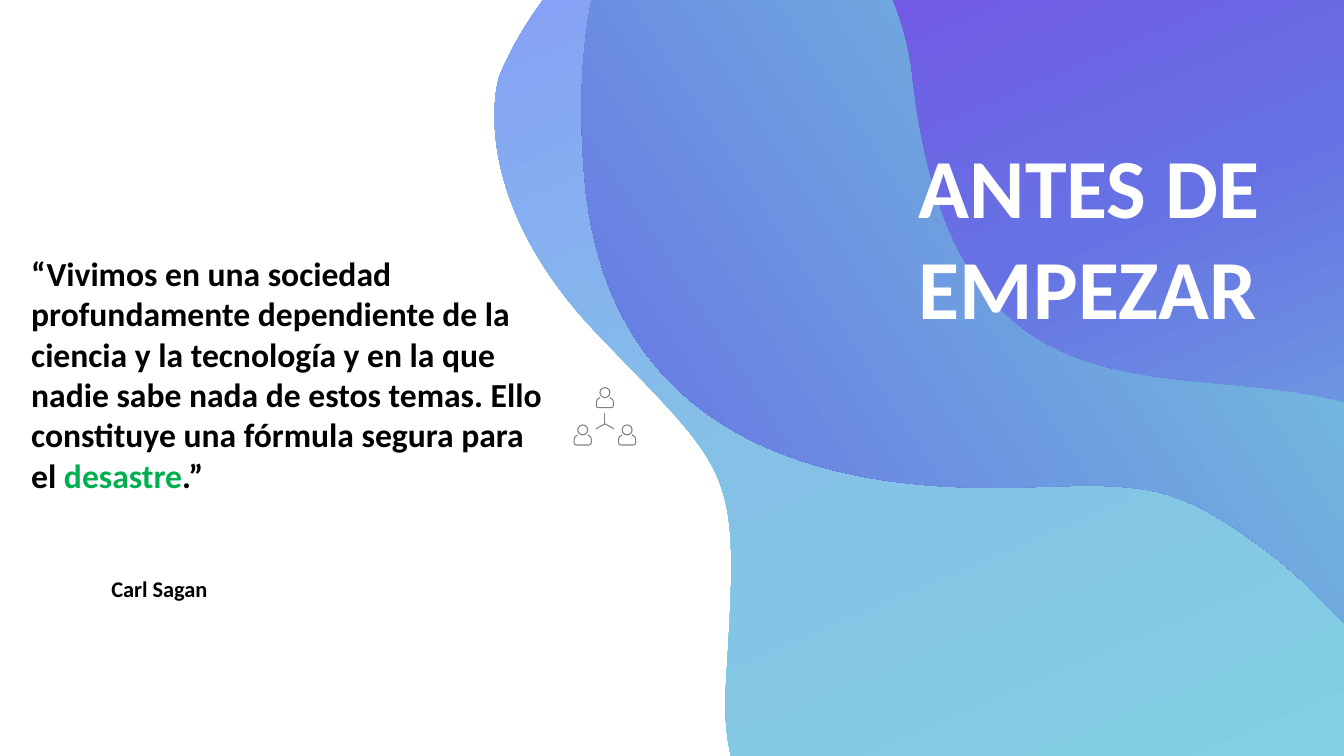
import math
from dataclasses import dataclass

import lxml.etree
import pptx
import pptx.dml.color
import pptx.enum.shapes
import pptx.enum.text
import pptx.oxml
import pptx.oxml.ns
import pptx.util

COLUMNS, ROWS = 1333, 750  # grid of hundredths of an inch
CELL = pptx.util.Inches(0.01)


@dataclass(frozen=True)
class Theme:
    font: str = "Calibri"
    ink: str = "000000"
    accent: str = "00B050"
    title_ink: str = "FFFFFF"
    icon: str = "808080"
    icon_line: float = 0.75
    title_size: int = 60
    quote_size: int = 24
    author_size: int = 16
    back_wave: tuple = ((0, "80DEDE"), (54, "85C1E7"), (100, "878CFF"))
    corner_wave: tuple = ((0, "7CEFD8"), (51, "6672E4"), (100, "882BE5"))
    overlap_wave: tuple = ((0, "882BE5"), (19, "6672E4"), (100, "7CEFD8"))


def rgb(value):
    return pptx.dml.color.RGBColor.from_string(value)


def emu(*cells):
    return [int(cell * CELL) for cell in cells]


def turn(point, degrees):
    x, y = point
    c, s = math.cos(math.radians(degrees)), math.sin(math.radians(degrees))
    return x * c - y * s, x * s + y * c


def bounds(nodes, steps=30):
    """Left, top, right and bottom of cubic curves: a start, then three nodes each."""
    points = [nodes[0]]
    for i in range(0, len(nodes) - 1, 3):
        a, b, c, d = nodes[i:i + 4]
        for t in (k / steps for k in range(1, steps + 1)):
            u = 1 - t
            points.append(tuple(
                u**3 * a[j] + 3 * u * u * t * b[j] + 3 * u * t * t * c[j] + t**3 * d[j]
                for j in (0, 1)))
    xs, ys = zip(*points)
    return min(xs), min(ys), max(xs), max(ys)


class Slide:
    def __init__(self, deck, theme):
        self.theme = theme
        self.slide = deck.slides.add_slide(deck.slide_layouts[6])

    def group(self):
        return self.slide.shapes.add_group_shape().shapes

    def curve(self, group, nodes, close):
        """Freeform whose straight segments are joined by threes into cubic curves."""
        builder = group.build_freeform(*emu(*nodes[0]))
        builder.add_line_segments([emu(*node) for node in nodes[1:]], close=close)
        shape = builder.convert_to_shape()
        shape.shadow.inherit = False
        qn = pptx.oxml.ns.qn
        route = next(shape.element.iter(qn("a:path")))
        segments = route.findall(qn("a:lnTo"))
        for i in range(0, len(segments), 3):
            cubic = lxml.etree.Element(qn("a:cubicBezTo"))
            segments[i].addprevious(cubic)
            for segment in segments[i:i + 3]:
                cubic.append(segment[0])
                route.remove(segment)
        # Fit the frame to the curves instead of their control nodes
        left, top, right, bottom = emu(*bounds(nodes))
        for point in route.iter(qn("a:pt")):
            point.set("x", str(int(point.get("x")) + shape.left - left))
            point.set("y", str(int(point.get("y")) + shape.top - top))
        shape.left, shape.top = left, top
        shape.width, shape.height = right - left, bottom - top
        route.set("w", str(right - left))
        route.set("h", str(bottom - top))
        return shape

    def wave(self, group, nodes, stops, angle, rotation=157):
        """Store the outline unturned, so that its gradient turns with it."""
        level = [turn(node, -rotation) for node in nodes]
        left, top, right, bottom = bounds(level)
        center = (left + right) / 2, (top + bottom) / 2
        dx, dy = (after - before for after, before in zip(turn(center, rotation), center))
        shape = self.curve(group, [(x + dx, y + dy) for x, y in level], True)
        shape.rotation = rotation
        shape.line.fill.background()
        self.gradient(shape, stops, angle)

    def gradient(self, shape, stops, angle):
        listed = "".join(
            f'<a:gs pos="{share * 1000}"><a:srgbClr val="{color}"/></a:gs>'
            for share, color in stops)
        fill = pptx.oxml.parse_xml(
            f'<a:gradFill {pptx.oxml.ns.nsdecls("a")} rotWithShape="1">'
            f'<a:gsLst>{listed}</a:gsLst>'
            f'<a:lin ang="{angle * 60000}" scaled="0"/></a:gradFill>')
        shape.element.spPr.find(pptx.oxml.ns.qn("a:custGeom")).addnext(fill)

    def pen(self, shape):
        shape.line.color.rgb = rgb(self.theme.icon)
        shape.line.width = pptx.util.Pt(self.theme.icon_line)

    def person(self, group, col, row):
        head = group.add_shape(
            pptx.enum.shapes.MSO_SHAPE.DONUT, *emu(col - 5.5, row, 11, 11))
        head.adjustments[0] = 0.1
        head.shadow.inherit = False
        head.fill.solid()
        head.fill.fore_color.rgb = rgb(self.theme.icon)
        head.line.fill.background()
        body = SHOULDER + [(-x, y) for x, y in reversed(SHOULDER)]
        shape = self.curve(group, [(col + x, row + y) for x, y in body], False)
        shape.fill.background()
        self.pen(shape)

    def line(self, group, start, end):
        link = group.add_connector(
            pptx.enum.shapes.MSO_CONNECTOR.STRAIGHT, *emu(*start, *end))
        self.pen(link)
        lxml.etree.SubElement(link.element.spPr, pptx.oxml.ns.qn("a:effectLst"))

    def text(self, box, runs, size, inset=True):
        frame = self.slide.shapes.add_textbox(*emu(*box)).text_frame
        frame.word_wrap = True
        frame.auto_size = pptx.enum.text.MSO_AUTO_SIZE.SHAPE_TO_FIT_TEXT
        if not inset:
            frame.margin_left = frame.margin_right = 0
            frame.margin_top = frame.margin_bottom = 0
        for words, color in runs:
            run = frame.paragraphs[0].add_run()
            run.text = words
            run.font.name = self.theme.font
            run.font.size = pptx.util.Pt(size)
            run.font.bold = True
            run.font.color.rgb = rgb(color)


BACK = [
    (920, 106), (971, 556), (1290, 315), (1467, 496), (1645, 676), (1581, 811), (1528, 840),
    (1475, 869), (1429, 866), (1375, 787), (1320, 707), (1153, 796), (1038, 856),
    (924, 916), (706, 893), (720, 679), (733, 464), (732, 476), (595, 334),
    (458, 192), (495, 76), (495, 76), (495, 76), (568, -115), (737, -98),
    (907, -81), (920, 106), (920, 106)]
CORNER = [
    (732, -186), (732, -186), (556, -159), (579, 167), (601, 492), (918, 487), (1031, 483),
    (1144, 479), (1172, 483), (1262, 551), (1352, 620), (1413, 755), (1528, 626),
    (1643, 496), (1426, 358), (1396, 301), (1366, 244), (1422, 99), (1371, 43),
    (1321, -12), (1286, -80), (1049, -60), (1049, -60), (933, -22), (844, -146),
    (844, -146), (788, -214), (732, -186)]
OVERLAP = [
    (579, 167), (568, 19), (599, -67), (635, -118), (661, -127), (689, -130), (721, -128),
    (890, -111), (904, 76), (904, 76), (955, 526), (1274, 285), (1451, 466),
    (1499, 514), (1529, 560), (1547, 600), (1542, 609), (1536, 617), (1529, 625),
    (1413, 755), (1352, 620), (1262, 551), (1172, 483), (1144, 479), (1031, 483),
    (918, 487), (601, 492), (579, 167)]
SHOULDER = [
    (5, 10.5), (7.5, 11.5), (8.5, 13), (8.5, 15), (8.5, 16), (8.5, 17), (8.5, 18),
    (8.5, 20), (7.5, 20.5), (6, 20.5), (2, 20.5)]


def main():
    theme = Theme()
    deck = pptx.Presentation()
    deck.slide_width, deck.slide_height = emu(COLUMNS, ROWS)
    page = Slide(deck, theme)

    # Waves
    waves = page.group()
    page.wave(waves, BACK, theme.back_wave, 90)
    page.wave(waves, CORNER, theme.corner_wave, 90)
    page.wave(waves, OVERLAP, theme.overlap_wave, 170)

    # Quote and its author
    page.text((31, 251, 516, 296), [
        ("“Vivimos en una sociedad profundamente dependiente de la ciencia y la tecnología "
         "y en la que nadie sabe nada de estos temas. Ello constituye una fórmula segura "
         "para el ", theme.ink),
        ("desastre", theme.accent),
        (".”", theme.ink)], theme.quote_size, inset=False)
    page.text((110.4, 570.4, 387, 27), [("Carl Sagan", theme.ink)], theme.author_size, inset=False)

    # Icon of three linked people
    people = page.group()
    for col, row in ((600, 384), (578, 421), (622, 421)):
        page.person(people, col, row)
    for end in ((600, 410), (591, 425.5), (609, 425.5)):
        page.line(people, (600, 420.5), end)

    # Title
    page.text((901.6, 128.4, 388, 212), [("ANTES DE EMPEZAR", theme.title_ink)], theme.title_size)

    deck.save("out.pptx")


if __name__ == "__main__":
    main()
